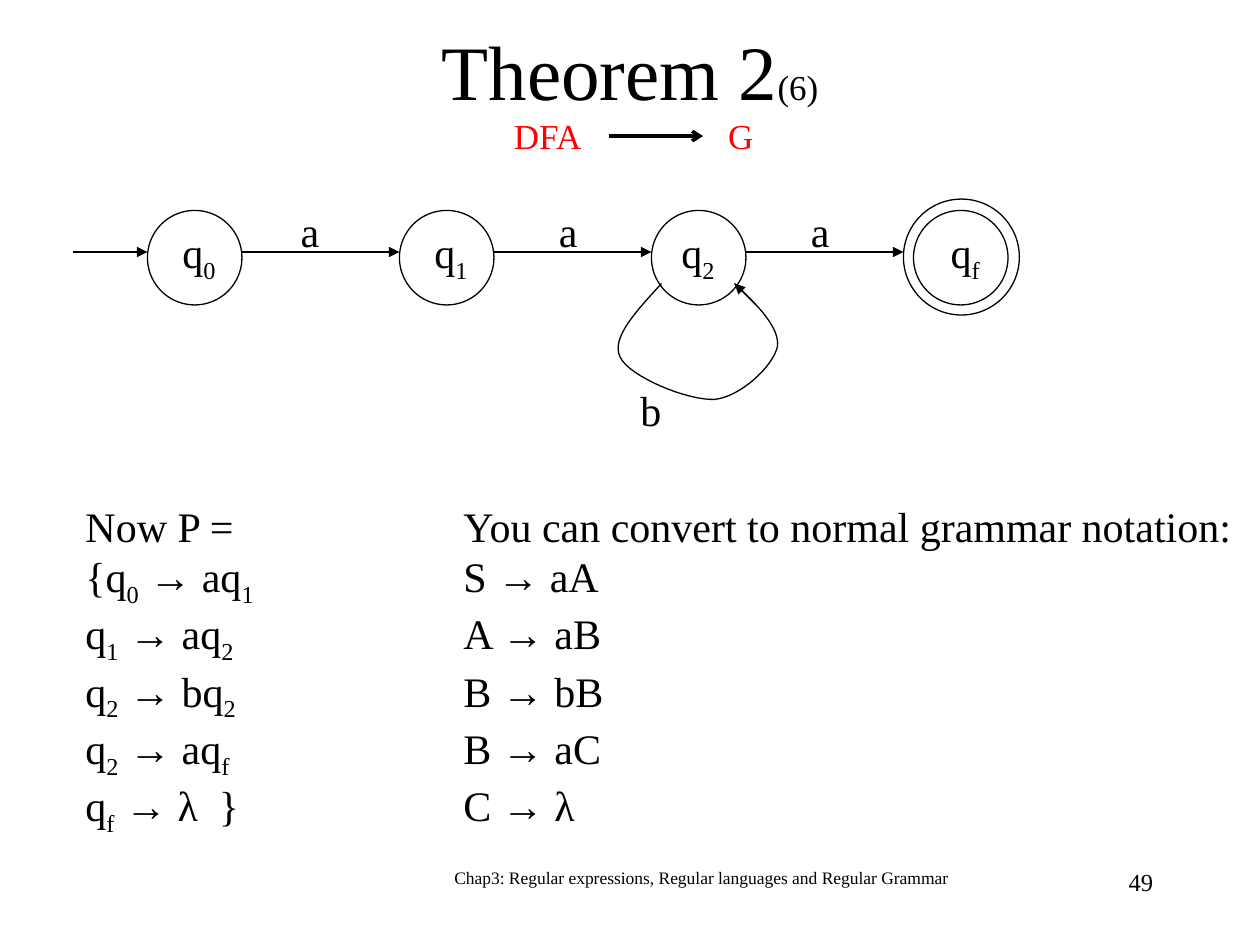
"""Build the Theorem 2 slide that converts a DFA into a regular grammar."""
from dataclasses import dataclass
from typing import Optional

import lxml.etree
import pptx
import pptx.dml.color
import pptx.enum.shapes
import pptx.enum.text
import pptx.oxml.ns
import pptx.util

Inches = pptx.util.Inches
qn = pptx.oxml.ns.qn
ALIGN = pptx.enum.text.PP_ALIGN
ANCHOR = pptx.enum.text.MSO_ANCHOR
COLOURS = {"ink": "000000", "accent": "FF0000"}
STATE_SIZE = 0.75
STATE_TOP = 1.67
ARROW_Y = 2


@dataclass
class Span:
    text: str
    size: Optional[float] = None
    font: str = "Times New Roman"
    colour: str = "ink"
    sub: bool = False


@dataclass
class State:
    index: str
    left: float
    label_centre: float


@dataclass
class Transition:
    symbol: str
    start: float
    end: float
    label_centre: float


@dataclass
class Production:
    head: str
    head_index: str
    result: str
    result_index: str
    variable: str
    replacement: str


STATES = [State("0", 1.17, 1.58), State("1", 3.17, 3.58),
          State("2", 5.17, 5.54), State("f", 7.25, 7.66)]
TRANSITIONS = [Transition("", 0.58, 1.17, 0), Transition("a", 1.92, 3.17, 2.46),
               Transition("a", 3.92, 5.17, 4.51), Transition("a", 5.92, 7.17, 6.51)]
PRODUCTIONS = [Production("{q", "0", "aq", "1", "S", "aA"),
               Production("q", "1", "aq", "2", "A", "aB"),
               Production("q", "2", "bq", "2", "B", "bB"),
               Production("q", "2", "aq", "f", "B", "aC"),
               Production("q", "f", "λ  }", "", "C", "λ")]
LOOP_START = (5.25, 2.25)
LOOP_CURVES = [((5.05, 2.47), (4.85, 2.68), (4.92, 2.83)),
               ((4.99, 2.99), (5.46, 3.18), (5.67, 3.17)),
               ((5.88, 3.15), (6.14, 2.9), (6.17, 2.75)),
               ((6.19, 2.6), (6.01, 2.42), (5.83, 2.25))]


def rgb(name: str) -> pptx.dml.color.RGBColor:
    return pptx.dml.color.RGBColor.from_string(COLOURS[name])


def place(shape, left: float, top: float, width: float, height: float) -> None:
    shape.left, shape.top = Inches(left), Inches(top)
    shape.width, shape.height = Inches(width), Inches(height)


def write(shape, lines: list, size: float = 24, align=ALIGN.CENTER,
          anchor=ANCHOR.TOP, tab: Optional[float] = None) -> None:
    frame = shape.text_frame
    frame.word_wrap = True
    frame.auto_size = pptx.enum.text.MSO_AUTO_SIZE.NONE
    frame.vertical_anchor = anchor
    for number, spans in enumerate(lines):
        paragraph = frame.paragraphs[0] if number == 0 else frame.add_paragraph()
        paragraph.alignment = align
        if tab:
            properties = paragraph._p.get_or_add_pPr()
            properties.set("defTabSz", str(Inches(tab)))
            stops = lxml.etree.SubElement(properties, qn("a:tabLst"))
            lxml.etree.SubElement(stops, qn("a:tab"), pos=str(Inches(tab)), algn="l")
        for span in spans:
            run = paragraph.add_run()
            run.text = span.text
            run.font.size = pptx.util.Pt(span.size or size)
            run.font.name = span.font
            run.font.color.rgb = rgb(span.colour)
            if span.sub:
                run.font._element.set("baseline", "-25000")


def add_text(slide, lines: list, left: float, top: float, width: float,
             height: float = 0.5, **text_format) -> None:
    box = slide.shapes.add_textbox(0, 0, 0, 0)
    place(box, left, top, width, height)
    write(box, lines, **text_format)


def outline(shape) -> None:
    shape.shadow.inherit = False
    shape.fill.background()
    shape.line.color.rgb = rgb("ink")
    shape.line.width = pptx.util.Pt(0.75)


def add_circle(slide, left: float, top: float, size: float) -> None:
    circle = slide.shapes.add_shape(pptx.enum.shapes.MSO_SHAPE.OVAL, 0, 0, 0, 0)
    place(circle, left, top, size, size)
    outline(circle)


def add_arrow(slide, start: tuple, end: tuple, width: float = 0.75,
              head: str = "triangle") -> None:
    arrow = slide.shapes.add_connector(
        pptx.enum.shapes.MSO_CONNECTOR.STRAIGHT, *map(Inches, start + end))
    arrow.line.color.rgb = rgb("ink")
    arrow.line.width = pptx.util.Pt(width)
    lxml.etree.SubElement(arrow.line._get_or_add_ln(), qn("a:tailEnd"), type=head)
    lxml.etree.SubElement(arrow._element.spPr, qn("a:effectLst"))


def add_loop(slide, steps: int = 16) -> None:
    points, start = [], LOOP_START
    for first, second, end in LOOP_CURVES:
        for step in range(1, steps + 1):
            t = step / steps
            weights = ((1 - t) ** 3, 3 * t * (1 - t) ** 2, 3 * t * t * (1 - t), t ** 3)
            points.append(tuple(
                Inches(sum(w * v for w, v in zip(weights, values)))
                for values in zip(start, first, second, end)))
        start = end
    builder = slide.shapes.build_freeform(*map(Inches, LOOP_START))
    builder.add_line_segments(points, close=False)
    outline(builder.convert_to_shape())
    add_arrow(slide, (6, 2.42), start)


def production_spans(rule: Production) -> list:
    arrow = Span("→", font="Arial")
    return [Span(rule.head), Span(rule.head_index, sub=True), Span(" "), arrow,
            Span(" " + rule.result), Span(rule.result_index + "\t", sub=True),
            Span(rule.variable + " "), arrow, Span(" " + rule.replacement)]


def main() -> None:
    deck = pptx.Presentation()
    deck.slide_width, deck.slide_height = Inches(10), Inches(7.5)
    slide = deck.slides.add_slide(deck.slide_layouts[5])

    title = slide.shapes.title
    place(title, 0.75, 0.08, 8.5, 0.94)
    write(title, [[Span("Theorem 2", 44), Span("(6)", 20)]], anchor=ANCHOR.MIDDLE)
    for name, left in (("DFA", 3.98), ("G", 5.68)):
        add_text(slide, [[Span(name, colour="accent")]], left, 0.86, 0.8, 0.42,
                 size=20, align=ALIGN.LEFT)
    add_arrow(slide, (4.83, 1.08), (5.58, 1.08), width=2, head="arrow")

    for state in STATES:
        add_circle(slide, state.left, STATE_TOP, STATE_SIZE)
        add_text(slide, [[Span("q"), Span(state.index, sub=True)]],
                 state.label_centre - 0.5, 1.75, 1, 0.56)
    add_circle(slide, 7.17, 1.58, 0.92)

    for move in TRANSITIONS:
        add_arrow(slide, (move.start, ARROW_Y), (move.end, ARROW_Y))
        if move.symbol:
            add_text(slide, [[Span(move.symbol)]], move.label_centre - 0.3, 1.58, 0.6)
    add_loop(slide)
    add_text(slide, [[Span("b")]], 4.58, 3, 1.17)

    heading = [Span("Now P =\tYou can convert to normal grammar notation:")]
    add_text(slide, [heading] + [production_spans(rule) for rule in PRODUCTIONS],
             0.58, 3.92, 9.42, 2.78, align=ALIGN.LEFT, tab=3)

    add_text(slide, [[Span("Chap3: Regular expressions, Regular languages and Regular Grammar")]],
             3.4, 6.83, 4.33, size=10)
    add_text(slide, [[Span("49")]], 7.17, 6.83, 2.08, size=14, align=ALIGN.RIGHT)
    deck.save("out.pptx")


if __name__ == "__main__":
    main()
